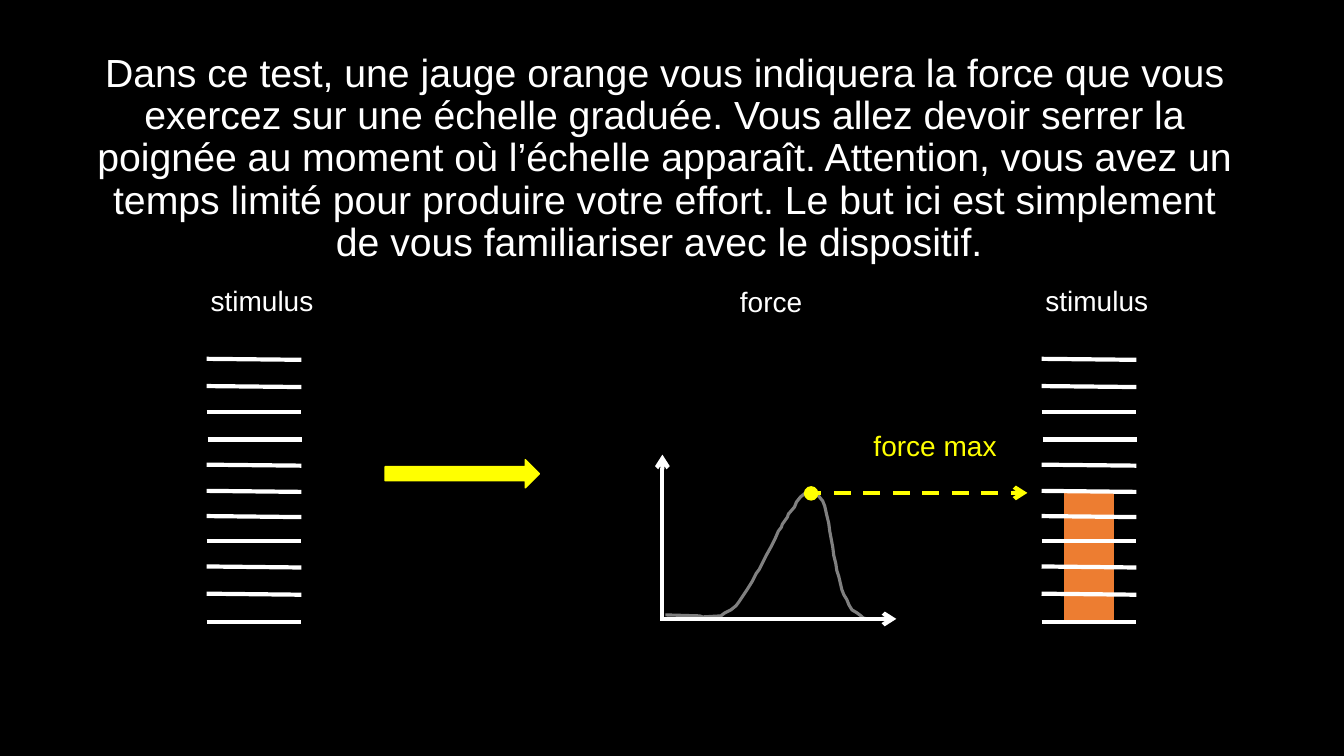
from dataclasses import dataclass

from lxml import etree
from pptx import Presentation
from pptx.dml.color import RGBColor
from pptx.enum.dml import MSO_LINE
from pptx.enum.shapes import MSO_CONNECTOR, MSO_SHAPE
from pptx.enum.text import PP_ALIGN
from pptx.oxml.ns import qn
from pptx.util import Inches, Pt

STRAIGHT = MSO_CONNECTOR.STRAIGHT
RECTANGLE, OVAL, RIGHT_ARROW = MSO_SHAPE.RECTANGLE, MSO_SHAPE.OVAL, MSO_SHAPE.RIGHT_ARROW
DASH = MSO_LINE.DASH
LEFT, CENTER = PP_ALIGN.LEFT, PP_ALIGN.CENTER


@dataclass(frozen=True)
class Theme:
    font: str = "Arial"
    background: RGBColor = RGBColor(0, 0, 0)
    white: RGBColor = RGBColor(255, 255, 255)
    yellow: RGBColor = RGBColor(255, 255, 0)
    orange: RGBColor = RGBColor(0xED, 0x7D, 0x31)
    grey: RGBColor = RGBColor(128, 128, 128)
    instruction_size: int = 28
    label_size: int = 20
    line_width: float = 3
    curve_width: float = 2.25
    outline_width: float = 1


INSTRUCTION = (
    "Dans ce test, une jauge orange vous indiquera la force que vous exercez "
    "sur une échelle graduée. Vous allez devoir serrer la poignée au moment où "
    "l’échelle apparaît. Attention, vous avez un temps limité pour produire "
    "votre effort. Le but ici est simplement de vous familiariser avec le dispositif. "
)

# Left and right heights of each graduation, in inches
GRADUATIONS = [
    (3.56, 3.57), (3.83, 3.84), (4.09, 4.09), (4.36, 4.36), (4.61, 4.62), (4.87, 4.88),
    (5.12, 5.13), (5.37, 5.37), (5.62, 5.63), (5.89, 5.9), (6.17, 6.17),
]
SHIFTED_GRADUATION = 3
GRADUATION_WIDTH = 0.94

# Force over time, in hundredths of an inch on the slide
FORCE_CURVE = [
    (660, 610), (694, 611), (697, 612), (715, 611), (719, 608), (725, 605), (730, 601),
    (733, 597), (737, 591), (741, 585), (746, 577), (750, 569), (753, 565), (756, 559),
    (760, 551), (765, 542), (769, 534), (772, 527), (775, 523), (776, 520), (781, 513),
    (782, 510), (788, 503), (790, 498), (794, 493), (799, 489), (807, 490), (812, 492),
    (816, 497), (818, 502), (820, 511), (822, 519), (823, 527), (826, 543), (827, 551),
    (829, 559), (830, 566), (832, 572), (835, 585), (837, 590), (840, 595), (842, 600),
    (845, 605), (850, 608), (854, 611), (856, 613), (860, 614),
]


class SlideBuilder:
    def __init__(self, slide, theme):
        self.slide = slide
        self.theme = theme
        slide.background.fill.solid()
        slide.background.fill.fore_color.rgb = theme.background

    def text(self, wording, left, top, width, height, size, color,
             align=LEFT, wrap=False, line_spacing=None):
        frame = self.slide.shapes.add_textbox(
            Inches(left), Inches(top), Inches(width), Inches(height)).text_frame
        frame.word_wrap = wrap
        paragraph = frame.paragraphs[0]
        paragraph.alignment = align
        paragraph.line_spacing = line_spacing
        run = paragraph.add_run()
        run.text = wording
        run.font.name = self.theme.font
        run.font.size = Pt(size)
        run.font.color.rgb = color

    def label(self, wording, left, top, width, color, align=LEFT):
        self.text(wording, left, top, width, 0.44, self.theme.label_size, color, align)

    def block(self, kind, left, top, width, height, color):
        block = self.slide.shapes.add_shape(
            kind, Inches(left), Inches(top), Inches(width), Inches(height))
        block.shadow.inherit = False
        block.fill.solid()
        block.fill.fore_color.rgb = color
        block.line.color.rgb = color
        block.line.width = Pt(self.theme.outline_width)

    def line(self, start, end, color, arrow=False, dash=None):
        connector = self.slide.shapes.add_connector(
            STRAIGHT, *(Inches(length) for length in (*start, *end)))
        connector.line.color.rgb = color
        connector.line.width = Pt(self.theme.line_width)
        if dash is not None:
            connector.line.dash_style = dash
        properties = connector._element.spPr
        if arrow:
            etree.SubElement(properties.find(qn("a:ln")), qn("a:tailEnd"), type="arrow")
        etree.SubElement(properties, qn("a:effectLst"))

    def curve(self, points, color):
        """Draw an open line through points given in hundredths of an inch."""
        outline = self.slide.shapes.build_freeform(*points[0], scale=Inches(0.01))
        outline.add_line_segments(points[1:], close=False)
        curve = outline.convert_to_shape()
        curve.shadow.inherit = False
        curve.fill.background()
        curve.line.color.rgb = color
        curve.line.width = Pt(self.theme.curve_width)

    def scale(self, left):
        """Draw a graduated scale with its heading."""
        for index, (start_y, end_y) in enumerate(GRADUATIONS):
            x = left + (0.01 if index == SHIFTED_GRADUATION else 0)
            self.line((x, start_y), (x + GRADUATION_WIDTH, end_y), self.theme.white)
        self.label("stimulus", left - 0.06, 2.76, 1.23, self.theme.white)


def main():
    presentation = Presentation()
    presentation.slide_width = Inches(13.33)
    presentation.slide_height = Inches(7.5)
    theme = Theme()
    slide = presentation.slides.add_slide(presentation.slide_layouts[6])
    builder = SlideBuilder(slide, theme)

    builder.text(INSTRUCTION, 0.84, 0.48, 11.5, 2.2, theme.instruction_size,
                 theme.white, CENTER, wrap=True, line_spacing=0.9)

    builder.block(RECTANGLE, 10.56, 4.88, 0.48, 1.29, theme.orange)
    builder.scale(10.33)

    builder.label("force max", 8.56, 4.2, 1.43, theme.yellow, CENTER)
    builder.curve(FORCE_CURVE, theme.grey)
    builder.line((6.55, 6.14), (8.89, 6.14), theme.white, arrow=True)
    builder.line((6.57, 6.14), (6.57, 4.51), theme.white, arrow=True)
    builder.line((7.98, 4.89), (10.19, 4.89), theme.yellow, arrow=True, dash=DASH)
    builder.label("force", 7.24, 2.77, 0.82, theme.white)
    builder.block(OVAL, 7.98, 4.83, 0.13, 0.13, theme.yellow)

    builder.scale(2.05)
    builder.block(RIGHT_ARROW, 3.82, 4.56, 1.53, 0.28, theme.yellow)

    presentation.save("out.pptx")


if __name__ == "__main__":
    main()
